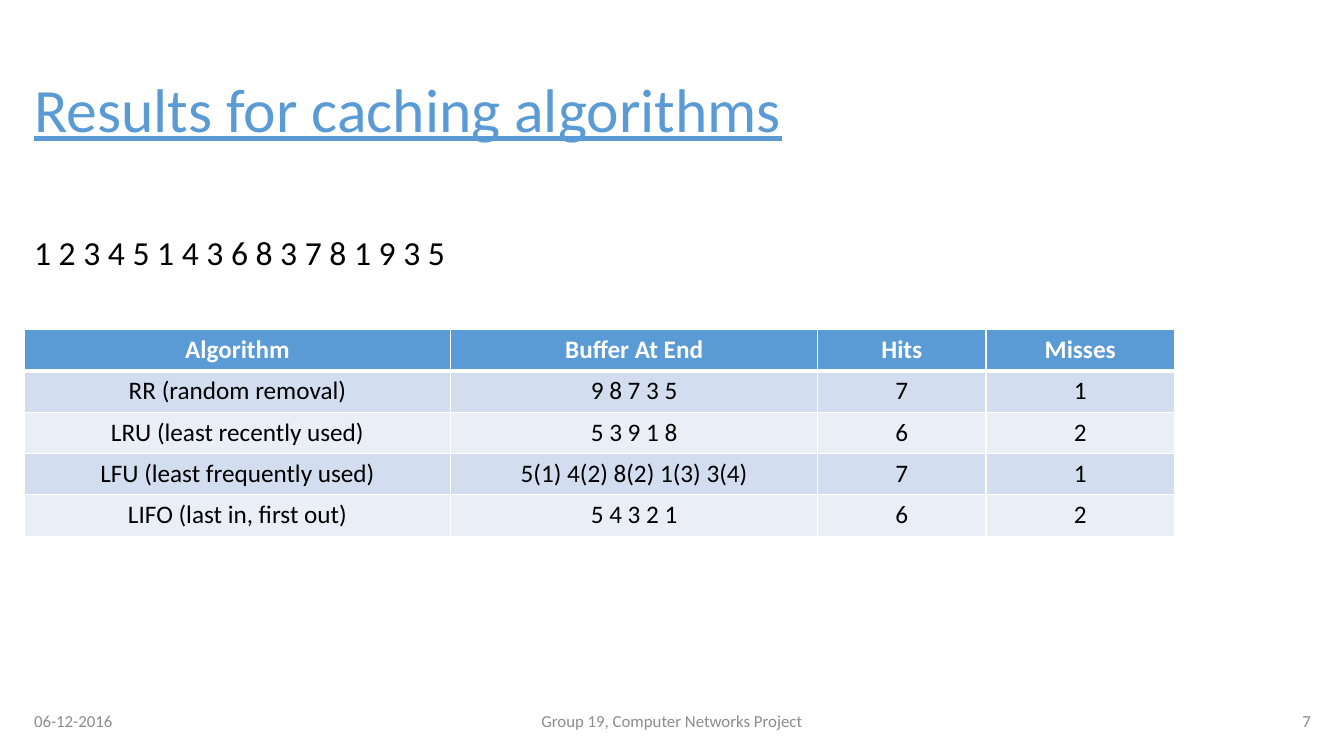
from dataclasses import dataclass

from lxml import etree
from pptx import Presentation
from pptx.dml.color import RGBColor
from pptx.enum.text import MSO_ANCHOR, PP_ALIGN
from pptx.oxml.ns import qn
from pptx.util import Inches, Pt

LEFT, CENTER, RIGHT = PP_ALIGN.LEFT, PP_ALIGN.CENTER, PP_ALIGN.RIGHT
TOP, MIDDLE = MSO_ANCHOR.TOP, MSO_ANCHOR.MIDDLE


@dataclass(frozen=True)
class Theme:
    font: str = "Calibri"
    accent: str = "5B9BD5"
    text: str = "000000"
    white: str = "FFFFFF"
    muted: str = "8C8C8C"
    bands: tuple = ("D2DEEF", "EAEFF7")
    title_size: int = 44
    sequence_size: int = 24
    table_size: int = 18
    footer_size: int = 12
    thin_line: int = 1
    header_line: int = 3


THEME = Theme()
MARGIN = 0.24
COLUMN_WIDTHS = (4.23, 3.64, 1.67, 1.87)
ROW_HEIGHT = 0.41
RESULTS = (
    ("Algorithm", "Buffer At End", "Hits", "Misses"),
    ("RR (random removal)", "9 8 7 3 5", "7", "1"),
    ("LRU (least recently used)", "5 3 9 1 8", "6", "2"),
    ("LFU (least frequently used)", "5(1) 4(2) 8(2) 1(3) 3(4)", "7", "1"),
    ("LIFO (last in, first out)", "5 4 3 2 1", "6", "2"),
)
FOOTER = (
    ("06-12-2016", MARGIN, 3, LEFT),
    ("Group 19, Computer Networks Project", 3.36, 6.61, CENTER),
    ("7", 10.1, 3, RIGHT),
)


def style_paragraph(para, size, color, align=LEFT):
    para.alignment = align
    para.font.name = THEME.font
    para.font.size = Pt(size)
    para.font.color.rgb = RGBColor.from_string(color)


def add_text(page, text, place, size, color, align=LEFT, anchor=MIDDLE):
    box = page.shapes.add_textbox(*map(Inches, place))
    frame = box.text_frame
    frame.word_wrap = True
    frame.vertical_anchor = anchor
    para = frame.paragraphs[0]
    para.text = text
    style_paragraph(para, size, color, align)
    return para


def add_title(page, text):
    para = add_text(page, text, (MARGIN, 0.61, 12.86, 1.01),
                    THEME.title_size, THEME.accent)
    para.line_spacing = 0.9
    para.font.underline = True


def set_border(cell, side, width):
    properties = cell._tc.get_or_add_tcPr()
    line = etree.SubElement(properties, qn(f"a:ln{side}"), w=str(Pt(width)))
    fill = etree.SubElement(line, qn("a:solidFill"))
    etree.SubElement(fill, qn("a:srgbClr"), val=THEME.white)


def style_cell(cell, row):
    is_header = row == 0
    widths = {"L": THEME.thin_line, "R": THEME.thin_line,
              "T": THEME.header_line if row == 1 else THEME.thin_line,
              "B": THEME.header_line if is_header else THEME.thin_line}
    for side, width in widths.items():
        set_border(cell, side, width)
    fill = THEME.accent if is_header else THEME.bands[(row - 1) % 2]
    cell.fill.solid()
    cell.fill.fore_color.rgb = RGBColor.from_string(fill)
    para = cell.text_frame.paragraphs[0]
    color = THEME.white if is_header else THEME.text
    style_paragraph(para, THEME.table_size, color, CENTER)
    para.font.bold = is_header


def add_results_table(page):
    place = (MARGIN, 3.27, sum(COLUMN_WIDTHS), ROW_HEIGHT * len(RESULTS))
    table = page.shapes.add_table(len(RESULTS), len(COLUMN_WIDTHS),
                                  *map(Inches, place)).table
    for column, width in zip(table.columns, COLUMN_WIDTHS):
        column.width = Inches(width)
    for row, values in enumerate(RESULTS):
        table.rows[row].height = Inches(ROW_HEIGHT)
        for column, value in enumerate(values):
            cell = table.cell(row, column)
            cell.text = value
            style_cell(cell, row)


def add_footer(page):
    for text, left, width, align in FOOTER:
        add_text(page, text, (left, 6.95, width, 0.4),
                 THEME.footer_size, THEME.muted, align)


def main():
    deck = Presentation()
    deck.slide_width, deck.slide_height = Inches(13.33), Inches(7.5)
    page = deck.slides.add_slide(deck.slide_layouts[6])
    add_title(page, "Results for caching algorithms")
    add_results_table(page)
    add_footer(page)
    add_text(page, "1 2 3 4 5 1 4 3 6 8 3 7 8 1 9 3 5",
             (MARGIN, 2.25, 4.82, 0.5),
             THEME.sequence_size, THEME.text, anchor=TOP)
    deck.save("out.pptx")


main()
